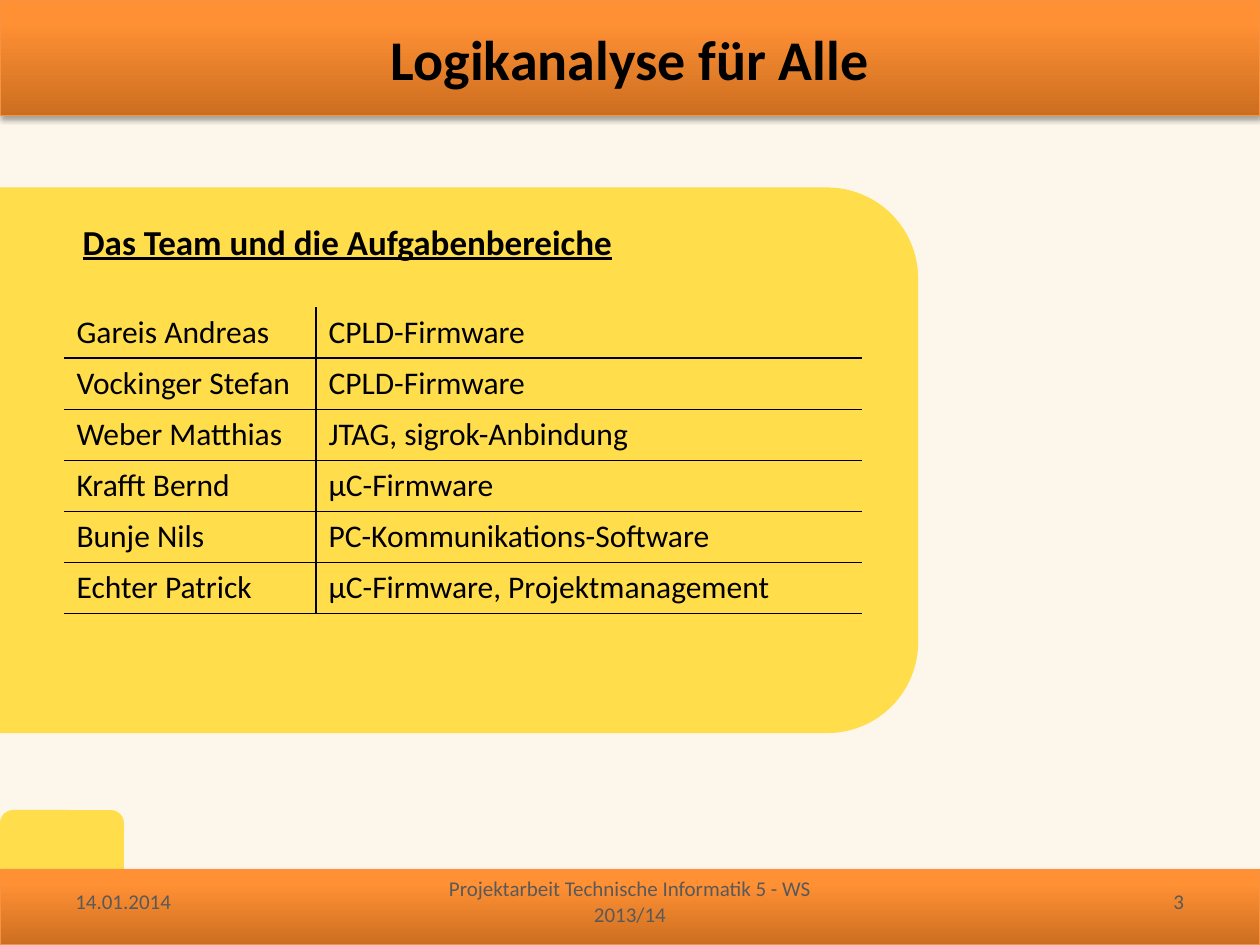
from copy import deepcopy

from lxml.etree import SubElement
from pptx import Presentation
from pptx.dml.color import RGBColor
from pptx.enum.shapes import MSO_SHAPE
from pptx.enum.text import MSO_ANCHOR, PP_ALIGN
from pptx.oxml.ns import qn
from pptx.util import Cm, Pt

YELLOW = "FFDD4B"
BLACK = "000000"
GREY = "595959"
BAR_LINE = "F69240"
BAR_STOPS = [(0, "CC6E20"), (0.8, "FF9034"), (1, "FF9136")]
WIDTH, HEIGHT = 25.4, 19.05

TITLE = {"size": Pt(32), "bold": True}
HEADING = {"size": Pt(20), "bold": True, "underline": True}
BODY = {"size": Pt(18)}
FOOTER = {"size": Pt(12)}

TEAM = [
    ("Gareis Andreas", "CPLD-Firmware"),
    ("Vockinger Stefan", "CPLD-Firmware"),
    ("Weber Matthias", "JTAG, sigrok-Anbindung"),
    ("Krafft Bernd", "µC-Firmware"),
    ("Bunje Nils", "PC-Kommunikations-Software"),
    ("Echter Patrick", "µC-Firmware, Projektmanagement"),
]
FOOTERS = [
    (1.27, 5.92, "14.01.2014", PP_ALIGN.LEFT),
    (8.68, 8.04, "Projektarbeit Technische Informatik 5 - WS 2013/14", PP_ALIGN.CENTER),
    (18.2, 5.92, "3", PP_ALIGN.RIGHT),
]


def rgb(color):
    return RGBColor.from_string(color)


def write(tf, text, fmt, align, anchor, color=BLACK):
    tf.word_wrap = True
    tf.vertical_anchor = anchor
    p = tf.paragraphs[0]
    p.alignment = align
    r = p.add_run()
    r.text = text
    r.font.name = "Calibri"
    r.font.color.rgb = rgb(color)
    for name, value in fmt.items():
        setattr(r.font, name, value)


def add_panel(s, x, y, w, h):
    sp = s.shapes.add_shape(MSO_SHAPE.ROUNDED_RECTANGLE, Cm(x), Cm(y), Cm(w), Cm(h))
    sp.shadow.inherit = False
    sp.fill.solid()
    sp.fill.fore_color.rgb = rgb(YELLOW)
    sp.line.fill.background()
    return sp


def add_bar(s, y, h):
    sp = s.shapes.add_shape(MSO_SHAPE.RECTANGLE, 0, Cm(y), Cm(WIDTH), Cm(h))
    sp.line.color.rgb = rgb(BAR_LINE)
    sp.line.width = Pt(0.75)
    sp.fill.gradient()
    sp.fill.gradient_angle = 90
    stops = sp._element.spPr.find(".//" + qn("a:gsLst"))
    stops.append(deepcopy(stops[-1]))
    for stop, (position, color) in zip(sp.fill.gradient_stops, BAR_STOPS):
        stop.position = position
        stop.color.rgb = rgb(color)
    add_shadow(sp)
    return sp


def add_shadow(sp):
    sp.shadow.inherit = False
    effects = sp._element.spPr.find(qn("a:effectLst"))
    shadow = SubElement(effects, qn("a:outerShdw"), blurRad=str(Pt(3.1)),
                        dist=str(Pt(1.8)), dir="5400000", rotWithShape="0")
    color = SubElement(shadow, qn("a:srgbClr"), val=BLACK)
    SubElement(color, qn("a:alpha"), val="35000")


def add_footer(s, x, w, text, align):
    sp = s.shapes.add_textbox(Cm(x), Cm(17.66), Cm(w), Cm(1.01))
    write(sp.text_frame, text, FOOTER, align, MSO_ANCHOR.MIDDLE, GREY)


def set_borders(cell, visible):
    tc_pr = cell._tc.get_or_add_tcPr()
    for side in "LRTB":
        ln = SubElement(tc_pr, qn("a:ln" + side), w=str(Pt(1)))
        if side in visible:
            SubElement(SubElement(ln, qn("a:solidFill")), qn("a:srgbClr"), val=BLACK)
        else:
            SubElement(ln, qn("a:noFill"))


def add_team_table(s):
    widths, row_height = (5.08, 11), 1.03
    table = s.shapes.add_table(len(TEAM), len(widths), Cm(1.29), Cm(6.19),
                               Cm(sum(widths)), Cm(row_height * len(TEAM))).table
    table.first_row = table.horz_banding = False
    for column, width in zip(table.columns, widths):
        column.width = Cm(width)
    for i, member in enumerate(TEAM):
        table.rows[i].height = Cm(row_height)
        for j, text in enumerate(member):
            cell = table.cell(i, j)
            write(cell.text_frame, text, BODY, PP_ALIGN.LEFT, None)
            set_borders(cell, "RL"[j] + ("TB" if i else "B"))
            cell.fill.background()


def main():
    prs = Presentation()
    prs.slide_width, prs.slide_height = Cm(WIDTH), Cm(HEIGHT)
    s = prs.slides.add_slide(prs.slide_layouts[6])
    s.background.fill.solid()
    s.background.fill.fore_color.rgb = rgb("FCF7EA")

    add_panel(s, 0, 16.33, 2.5, 1.6)
    add_bar(s, 17.53, 1.52)
    header = add_bar(s, 0, 2.33)
    write(header.text_frame, "Logikanalyse für Alle", TITLE,
          PP_ALIGN.CENTER, MSO_ANCHOR.MIDDLE)
    for footer in FOOTERS:
        add_footer(s, *footer)

    panel = add_panel(s, -4.5, 3.78, 23.01, 11)
    write(panel.text_frame, "Das Team und die Aufgabenbereiche", HEADING,
          PP_ALIGN.CENTER, MSO_ANCHOR.TOP)
    add_team_table(s)
    prs.save("out.pptx")


if __name__ == "__main__":
    main()
